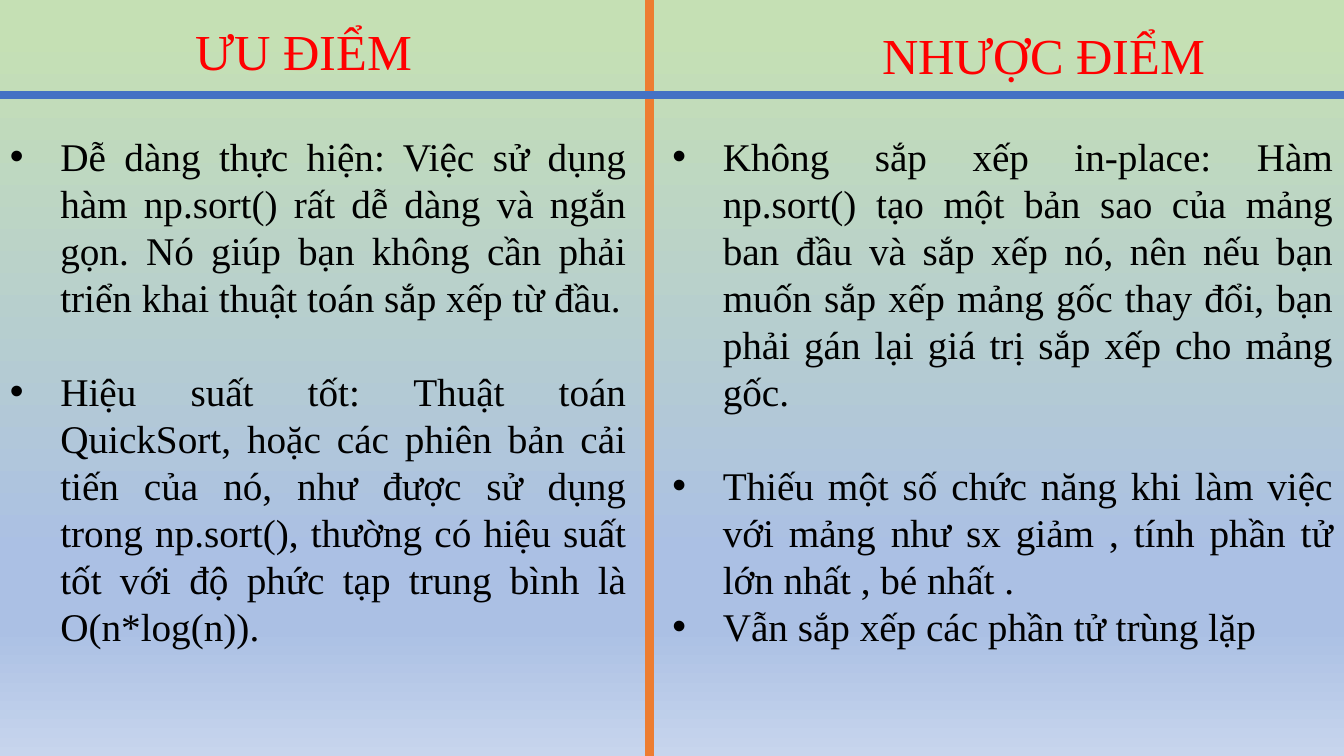
import pptx
import pptx.dml.color
import pptx.enum.shapes
import pptx.enum.text
import pptx.oxml.ns
import pptx.oxml.xmlchemy
import pptx.util
from lxml import etree

Inches, Pt = pptx.util.Inches, pptx.util.Pt
qn = pptx.oxml.ns.qn
ALIGN = pptx.enum.text.PP_ALIGN
WIDTH, HEIGHT = 13.33, 7.5
DIVIDER_X, DIVIDER_Y = 6.44, 0.94
BODY_TOP, BODY_HEIGHT = 1.26, 5.28
HEADING_HEIGHT = 0.71
INDENT = Inches(0.5)
BLOCK_GAP = 33.6

BACKGROUND = [(4, "C5E0B4"), (74, "ABC0E4"), (83, "ABC0E4"), (100, "C7D5ED")]
RULES = [
    ((DIVIDER_X, 0), (DIVIDER_X, HEIGHT), "ED7D31"),
    ((0, DIVIDER_Y), (WIDTH, DIVIDER_Y), "4472C4"),
]
# Heading, its left, top and width; body left and width; points with the space before each
COLUMNS = [
    ("ƯU ĐIỂM", (1.84, 0.15, 2.39), (0, 6.31), [
        ("Dễ dàng thực hiện: Việc sử dụng hàm np.sort() rất dễ dàng và ngắn gọn. "
         "Nó giúp bạn không cần phải triển khai thuật toán sắp xếp từ đầu.", 0),
        ("Hiệu suất tốt: Thuật toán QuickSort, hoặc các phiên bản cải tiến của nó, "
         "như được sử dụng trong np.sort(), thường có hiệu suất tốt với độ phức tạp "
         "trung bình là O(n*log(n)).", BLOCK_GAP),
    ]),
    ("NHƯỢC ĐIỂM", (8.65, 0.19, 3.85), (6.57, 6.75), [
        ("Không sắp xếp in-place: Hàm np.sort() tạo một bản sao của mảng ban đầu và "
         "sắp xếp nó, nên nếu bạn muốn sắp xếp mảng gốc thay đổi, bạn phải gán lại "
         "giá trị sắp xếp cho mảng gốc.", 0),
        ("Thiếu một số chức năng khi làm việc với mảng như sx giảm , tính phần tử "
         "lớn nhất , bé nhất .", BLOCK_GAP),
        ("Vẫn sắp xếp các phần tử trùng lặp", 0),
    ]),
]


def add_text_frame(left, top, width, height):
    frame = slide.shapes.add_textbox(*map(Inches, (left, top, width, height))).text_frame
    frame.word_wrap = True
    return frame


def format_text(paragraph, size, color):
    for run in paragraph.runs:
        run.font.name = "Times New Roman"
        run.font.size = Pt(size)
        run.font.color.rgb = pptx.dml.color.RGBColor.from_string(color)


deck = pptx.Presentation()
deck.slide_width, deck.slide_height = Inches(WIDTH), Inches(HEIGHT)
slide = deck.slides.add_slide(deck.slide_layouts[6])

backdrop = slide.background.fill
backdrop.gradient()
backdrop.gradient_angle = 270
stops = next(slide.element.iter(qn("a:gsLst")))
for stop in list(stops):
    stops.remove(stop)
for percent, color in BACKGROUND:
    stop = etree.SubElement(stops, qn("a:gs"), pos=str(percent * 1000))
    etree.SubElement(stop, qn("a:srgbClr"), val=color)

for start, end, color in RULES:
    rule = slide.shapes.add_connector(
        pptx.enum.shapes.MSO_CONNECTOR.STRAIGHT, *map(Inches, start + end))
    rule.line.color.rgb = pptx.dml.color.RGBColor.from_string(color)
    rule.line.width = Pt(6)
    etree.SubElement(rule.element.spPr, qn("a:effectLst"))

for heading, (left, top, width), (body_left, body_width), points in COLUMNS:
    title = add_text_frame(left, top, width, HEADING_HEIGHT).paragraphs[0]
    title.text = heading
    format_text(title, 36, "FF0000")

    body = add_text_frame(body_left, BODY_TOP, body_width, BODY_HEIGHT)
    for index, (point, gap) in enumerate(points):
        paragraph = body.add_paragraph() if index else body.paragraphs[0]
        paragraph.text = point
        paragraph.alignment = ALIGN.JUSTIFY
        if gap:
            paragraph.space_before = Pt(gap)
        properties = paragraph._p.get_or_add_pPr()
        properties.set("marL", str(INDENT))
        properties.set("indent", str(-INDENT))
        etree.SubElement(properties, qn("a:buFont"), typeface="Arial")
        etree.SubElement(properties, qn("a:buChar"), char="•")
        format_text(paragraph, 28, "000000")

deck.save("out.pptx")
